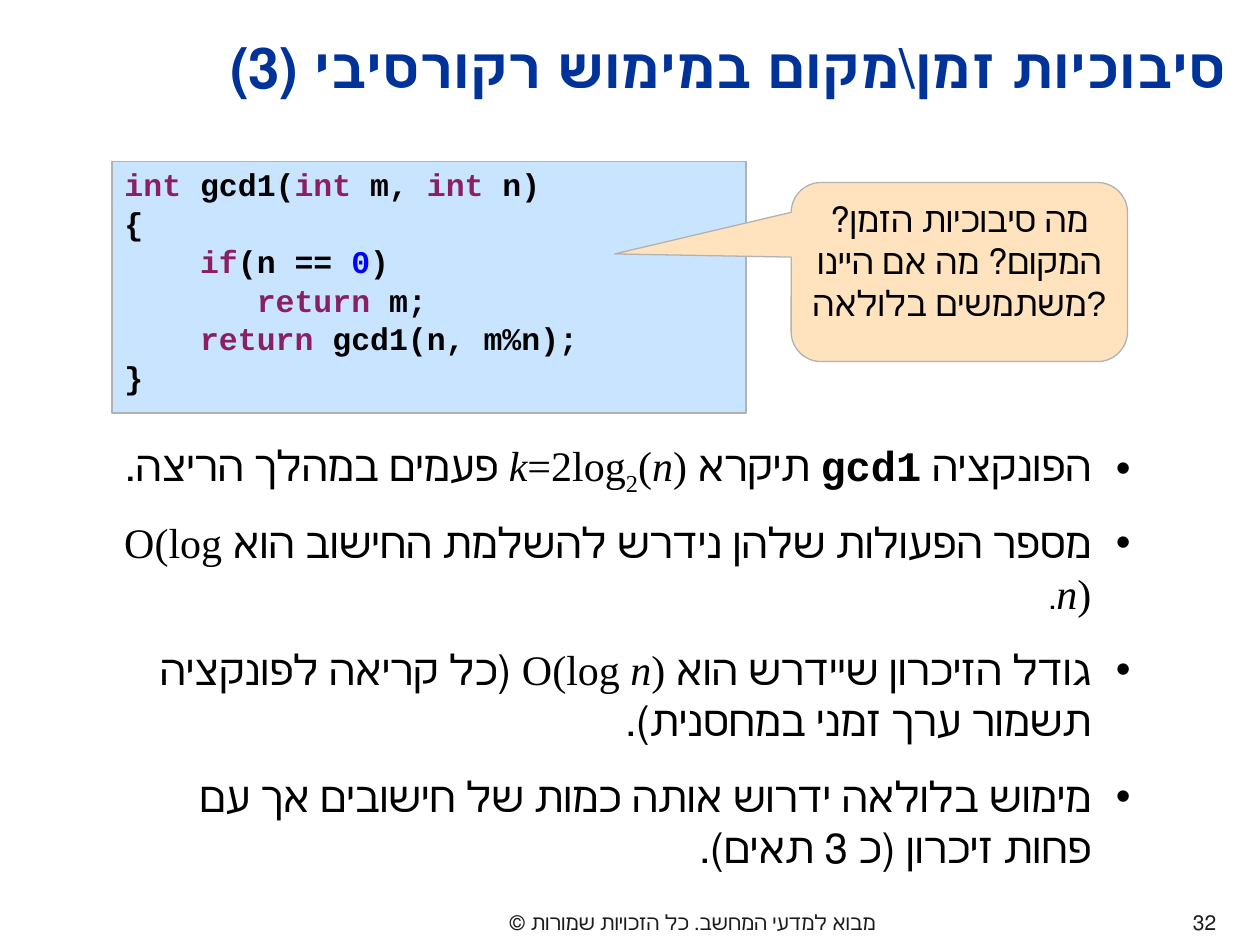
import pptx
import pptx.util
import pptx.dml.color
import pptx.enum.shapes
import pptx.enum.text
import pptx.oxml.ns
import lxml.etree

Cm, Pt = pptx.util.Cm, pptx.util.Pt
ALIGN = pptx.enum.text.PP_ALIGN
ANCHOR = pptx.enum.text.MSO_ANCHOR
SHAPE = pptx.enum.shapes.MSO_SHAPE

HUES = {
    "title": "003399", "foot": "1C1C1C", "text": "000000", "word": "8A2063",
    "digit": "0000FF", "code": "C9E4FF", "call": "FEE3BE", "edge": "B2B2B2",
}
SANS, MONO, SERIF = "Arial", "Courier New", "Times New Roman"

CODE = [
    [("int ", "word"), ("gcd1(", "text"), ("int ", "word"), ("m, ", "text"),
     ("int ", "word"), ("n)", "text")],
    [("{", "text")],
    [("    ", "text"), ("if", "word"), ("(n == ", "text"), ("0", "digit"), (")", "text")],
    [("       ", "text"), ("return ", "word"), ("m;", "text")],
    [("    ", "text"), ("return ", "word"), ("gcd1(n, m%n);", "text")],
    [("}", "text")],
]

PLAIN = {"face": SANS}
MATH = {"face": SERIF}
VAR = {"face": SERIF, "italic": True}
ORDER = [("O(log ", MATH), ("n", VAR), (")", MATH)]
POINTS = [
    (0, [("הפונקציה ", PLAIN), ("gcd1", {"face": MONO, "bold": True}),
         (" תיקרא ", PLAIN), ("k", VAR), ("=2log", MATH),
         ("2", {"face": SERIF, "base": -25000}), ("(", MATH), ("n", VAR),
         (")", MATH), (" פעמים במהלך הריצה.", PLAIN)]),
    (11.2, [("מספר הפעולות שלהן נידרש להשלמת החישוב הוא ", PLAIN), *ORDER,
            (".", {"face": SANS, "size": 18})]),
    (15, [("גודל הזיכרון שיידרש הוא ", PLAIN), *ORDER,
          (" (כל קריאה לפונקציה תשמור ערך זמני במחסנית).", PLAIN)]),
    (15, [("מימוש בלולאה ידרוש אותה כמות של חישובים אך עם פחות זיכרון (כ 3 תאים).", PLAIN)]),
]


def tint(name):
    return pptx.dml.color.RGBColor.from_string(HUES[name])


def style(run, face=SANS, size=24, hue="text", bold=False, italic=False, base=None):
    font = run.font
    font.name, font.size = face, Pt(size)
    font.bold, font.italic = bold, italic
    font.color.rgb = tint(hue)
    if base:
        run._r.get_or_add_rPr().set("baseline", str(base))


def add_part(para, text, **look):
    run = para.add_run()
    run.text = text
    style(run, **look)


def add_lines(frame, count):
    frame.text = "\n" * (count - 1)
    return frame.paragraphs


def set_right(para):
    para._p.get_or_add_pPr().set("rtl", "1")


def add_dot(para):
    props = para._p.get_or_add_pPr()
    props.set("marL", str(Cm(0.79)))
    props.set("indent", str(-Cm(0.79)))
    hue = lxml.etree.SubElement(props, pptx.oxml.ns.qn("a:buClr"))
    lxml.etree.SubElement(hue, pptx.oxml.ns.qn("a:srgbClr")).set("val", HUES["text"])
    lxml.etree.SubElement(props, pptx.oxml.ns.qn("a:buFont")).set("typeface", SANS)
    lxml.etree.SubElement(props, pptx.oxml.ns.qn("a:buChar")).set("char", "•")


def add_panel(slide, kind, box, fill):
    panel = slide.shapes.add_shape(kind, *map(Cm, box))
    panel.shadow.inherit = False
    panel.fill.solid()
    panel.fill.fore_color.rgb = tint(fill)
    panel.line.color.rgb = tint("edge")
    panel.line.width = Pt(0.75)
    panel.text_frame.word_wrap = True
    return panel


def add_label(slide, box, text, align, anchor=ANCHOR.TOP, **look):
    frame = slide.shapes.add_textbox(*map(Cm, box)).text_frame
    frame.word_wrap = True
    frame.vertical_anchor = anchor
    frame.text = text
    para = frame.paragraphs[0]
    para.alignment = align
    set_right(para)
    style(para.runs[0], **look)


def add_code(slide, box):
    frame = add_panel(slide, SHAPE.RECTANGLE, box, "code").text_frame
    frame.vertical_anchor = ANCHOR.MIDDLE
    for spot, (para, parts) in enumerate(zip(add_lines(frame, len(CODE)), CODE)):
        para.alignment = ALIGN.LEFT
        para.line_spacing = 0.5
        para.space_before = Pt(11.2 if spot else 0)
        for text, hue in parts:
            add_part(para, text, face=MONO, size=18, hue=hue, bold=True)


def add_call(slide, box):
    call = add_panel(slide, SHAPE.ROUNDED_RECTANGULAR_CALLOUT, box, "call")
    for spot, value in enumerate((-1.025, -0.101, 0.167)):
        call.adjustments[spot] = value
    frame = call.text_frame
    frame.vertical_anchor = ANCHOR.TOP
    frame.text = "מה סיבוכיות הזמן? המקום? מה אם היינו משתמשים בלולאה?"
    frame.paragraphs[0].alignment = ALIGN.CENTER
    style(frame.paragraphs[0].runs[0], size=20)


def add_points(slide, box):
    frame = slide.shapes.add_textbox(*map(Cm, box)).text_frame
    frame.word_wrap = True
    for para, (gap, parts) in zip(add_lines(frame, len(POINTS)), POINTS):
        para.alignment = ALIGN.RIGHT
        para.space_before = Pt(gap)
        set_right(para)
        add_dot(para)
        for text, look in parts:
            add_part(para, text, **look)


def add_foot(slide, box):
    left, top, width, height = box
    page = 1.27
    look = {"size": 12, "hue": "foot"}
    add_label(slide, (left, top, 18.62, height),
              "מבוא למדעי המחשב. כל הזכויות שמורות ©", ALIGN.CENTER, **look)
    add_label(slide, (left + width - page, top, page, height), "32", ALIGN.RIGHT, **look)


def main():
    deck = pptx.Presentation()
    deck.slide_width, deck.slide_height = Cm(25.4), Cm(19.05)
    slide = deck.slides.add_slide(deck.slide_layouts[6])
    add_foot(slide, (4.65, 18.21, 20.12, 0.84))
    add_code(slide, (2.26, 3.25, 12.78, 5.08))
    add_call(slide, (15.95, 3.68, 6.78, 3.61))
    add_points(slide, (2.03, 8.74, 21.01, 9.98))
    add_label(slide, (4.01, 0.18, 20.98, 2.29), "סיבוכיות זמן\\מקום במימוש רקורסיבי (3)",
              ALIGN.RIGHT, ANCHOR.MIDDLE, size=32, hue="title", bold=True)
    deck.save("out.pptx")


if __name__ == "__main__":
    main()
